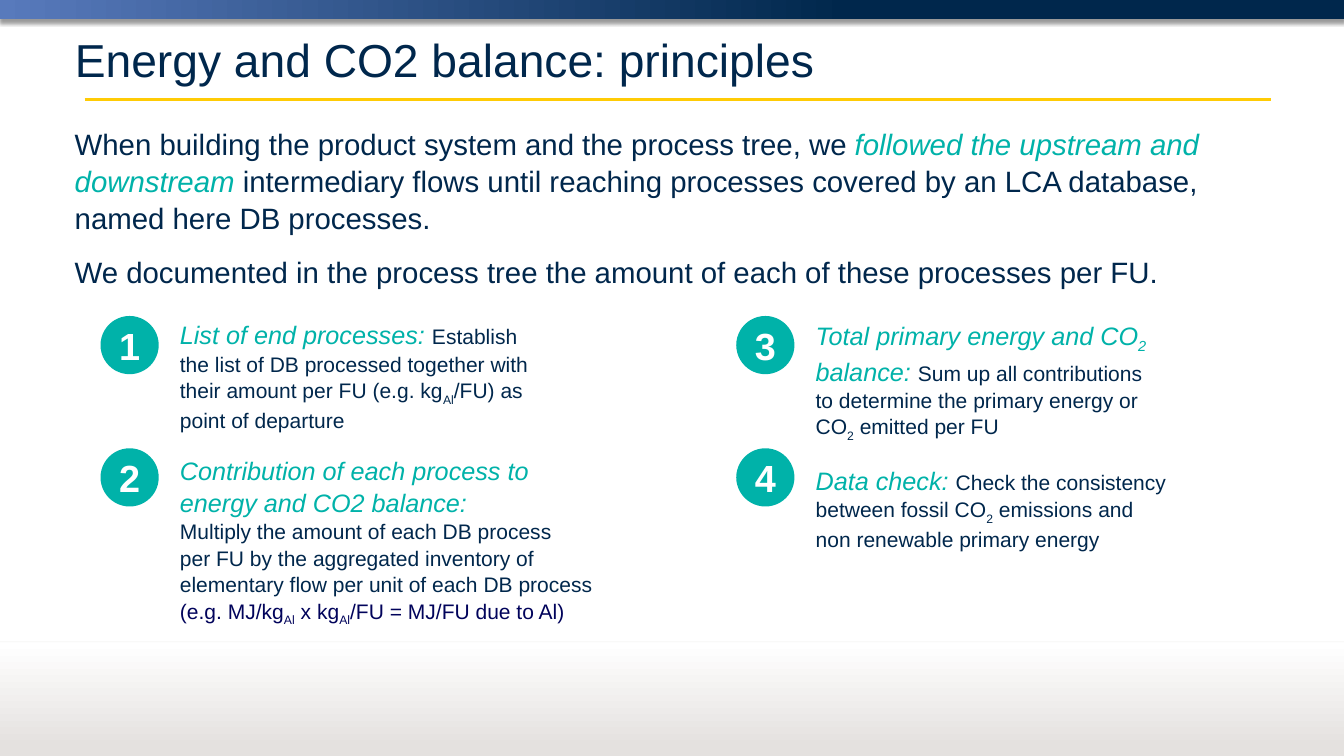
from copy import deepcopy

from lxml import etree
from pptx import Presentation
from pptx.dml.color import RGBColor
from pptx.enum.shapes import MSO_CONNECTOR, MSO_SHAPE
from pptx.enum.text import MSO_ANCHOR, MSO_AUTO_SIZE, PP_ALIGN
from pptx.oxml.ns import qn
from pptx.util import Pt

RECT, OVAL = MSO_SHAPE.RECTANGLE, MSO_SHAPE.OVAL
LINE = MSO_CONNECTOR.STRAIGHT
TOP, MIDDLE = MSO_ANCHOR.TOP, MSO_ANCHOR.MIDDLE
LEFT, CENTER = PP_ALIGN.LEFT, PP_ALIGN.CENTER
FIXED, GROW = MSO_AUTO_SIZE.NONE, MSO_AUTO_SIZE.SHAPE_TO_FIT_TEXT

PX = 9144  # 100 px to the inch
WIDE, HIGH = 1778, 1000
FONT = "Arial"
COLORS = {"navy": "00274C", "teal": "00B2A9", "gold": "FFCB05", "blue": "587ABC",
          "gray": "E4E1DF", "white": "FFFFFF", "ink": "01035B", "black": "000000"}


def rgb(name):
    return RGBColor.from_string(COLORS[name])


def child(parent, tag, **attrs):
    return etree.SubElement(parent, qn(tag), {k: str(v) for k, v in attrs.items()})


def write(para, text, size=20, color="navy", bold=False, italic=False, sub=False):
    """Add text to a paragraph; each newline becomes a line break."""
    for i, part in enumerate(text.split("\n")):
        if i:
            para.add_line_break()
            para._p[-1].append(deepcopy(run._r.rPr))
        if not part:
            continue
        run = para.add_run()
        run.text = part
        font = run.font
        font.name, font.size, font.bold, font.italic = FONT, Pt(size), bold, italic
        font.color.rgb = rgb(color)
        if sub:
            run._r.rPr.set("baseline", "-25000")


def head(text):
    return text, {"size": 24, "color": "teal", "italic": True}


def low(text, **fmt):
    return text, {"sub": True, **fmt}


class Deck:
    def __init__(self, layout):
        self.file = Presentation()
        self.file.slide_width, self.file.slide_height = WIDE * PX, HIGH * PX
        self.slide = self.file.slides.add_slide(self.file.slide_layouts[layout])
        self.shapes = self.slide.shapes

    def place(self, shape, x, y, w, h):
        shape.left, shape.top, shape.width, shape.height = (n * PX for n in (x, y, w, h))

    def shade(self, shape, alpha=0, blur=0, dist=0):
        """Replace the theme shadow with a downward one, or with none."""
        props = shape._element.spPr
        for old in props.findall(qn("a:effectLst")):
            props.remove(old)
        effects = child(props, "a:effectLst")
        if alpha:
            outer = child(effects, "a:outerShdw", blurRad=Pt(blur), dist=Pt(dist),
                          dir=90 * 60000, algn="t", rotWithShape=0)
            tint = child(outer, "a:srgbClr", val=COLORS["black"])
            child(tint, "a:alpha", val=alpha * 1000)

    def band(self, y, h, stops, angle):
        shape = self.shapes.add_shape(RECT, 0, y * PX, WIDE * PX, h * PX)
        shape.shadow.inherit = False
        shape.line.fill.background()
        shape.fill.gradient()
        shape.fill.gradient_angle = angle
        for stop, (pos, color) in zip(shape.fill.gradient_stops, stops):
            stop.position, stop.color.rgb = pos, rgb(color)
        return shape

    def rule(self, x, y, end, color, weight, alpha=100):
        line = self.shapes.add_connector(LINE, x * PX, y * PX, end * PX, y * PX)
        line.line.width = Pt(weight)
        line.line.color.rgb = rgb(color)
        if alpha < 100:
            tint = line._element.spPr.find(".//" + qn("a:srgbClr"))
            child(tint, "a:alpha", val=alpha * 1000)
        self.shade(line)
        return line

    def title(self, text, *area):
        shape = self.shapes.title
        self.place(shape, *area)
        frame = shape.text_frame
        frame.auto_size, frame.vertical_anchor = FIXED, MIDDLE
        para = frame.paragraphs[0]
        para.alignment = LEFT
        write(para, text, size=44)

    def fill(self, frame, items, gap, size=20):
        """Fill a frame with unbulleted paragraphs made of (text, format) parts."""
        frame.word_wrap, frame.vertical_anchor = True, TOP
        for i, parts in enumerate(items):
            para = frame.add_paragraph() if i else frame.paragraphs[0]
            props = para._p.get_or_add_pPr()
            props.set("marL", "0")
            props.set("indent", "0")
            child(props, "a:buNone")
            para.alignment, para.line_spacing = LEFT, 1.05
            para.space_before, para.space_after = Pt(0), Pt(gap)
            for part in parts:
                text, fmt = (part, {}) if isinstance(part, str) else part
                write(para, text, **{"size": size, **fmt})

    def body(self, slot, items, *area):
        shape = self.slide.placeholders[slot]
        self.place(shape, *area)
        shape.text_frame.auto_size = FIXED
        self.fill(shape.text_frame, items, 20)

    def intro(self, items, *area):
        box = self.shapes.add_textbox(*(n * PX for n in area))
        box.text_frame.auto_size = GROW
        self.fill(box.text_frame, items, 16, 28)

    def badge(self, x, y, text, side=77):
        shape = self.shapes.add_shape(OVAL, x * PX, y * PX, side * PX, side * PX)
        shape.shadow.inherit = False
        shape.fill.solid()
        shape.fill.fore_color.rgb = rgb("teal")
        shape.line.fill.background()
        frame = shape.text_frame
        frame.margin_left = frame.margin_right = frame.margin_top = frame.margin_bottom = 0
        frame.vertical_anchor = MIDDLE
        para = frame.paragraphs[0]
        para.alignment = CENTER
        write(para, text, size=36, color="white", bold=True)


INTRO = [
    ["When building the product system and the process tree, we ",
     ("followed the upstream and downstream ", {"color": "teal", "italic": True}),
     "intermediary flows until reaching processes covered by an LCA database,\n"
     "named here DB processes."],
    ["We documented in the process tree the amount of each of these processes per FU."],
]
INK = {"color": "ink"}
STEPS = [
    [head("List of end processes: "),
     "Establish\nthe list of DB processed together with\ntheir amount per FU (e.g. kg",
     low("Al"), "/FU) as\npoint of departure"],
    [head("Contribution of each process to\nenergy and CO2 balance:\n"),
     "Multiply the amount of each DB process\nper FU by the aggregated inventory of "
     "elementary flow per unit of each DB process\n",
     ("(e.g. MJ/kg", INK), low("Al", **INK), (" x kg", INK), low("Al", **INK),
      ("/FU = MJ/FU due to Al)", INK)],
]
CHECKS = [
    [head("Total primary energy and CO"),
     low("2", size=24, color="teal", italic=True), head(" balance: "),
     "Sum up all contributions\nto determine the primary energy or\nCO",
     low("2"), " emitted per FU"],
    [head("Data check: "), "Check the consistency between fossil CO", low("2"),
     " emissions and\nnon renewable primary energy"],
]


def main():
    deck = Deck(3)
    bar = deck.band(0, 25, [(0, "blue"), (0.63, "navy")], 0)
    deck.shade(bar, 40, 4, 3)
    deck.rule(112, 132, 1681, "gold", 3)
    deck.band(850, 150, [(0.08, "gray"), (1, "white")], 90)
    edge = deck.rule(0, 849, WIDE, "gray", 0.75, 30)
    deck.shade(edge, 38, 3.1, 1.6)

    deck.title("Energy and CO2 balance: principles", 89, 31, 1600, 95)
    deck.intro(INTRO, 89, 160, 1600, 221)
    deck.body(1, STEPS, 228, 416, 597, 433)
    deck.body(2, CHECKS, 1069, 416, 555, 405)
    for i in range(4):
        col, row = divmod(i, 2)
        deck.badge(133 + 841 * col, 418 + 175 * row, str(i + 1))
    deck.file.save("out.pptx")


if __name__ == "__main__":
    main()
